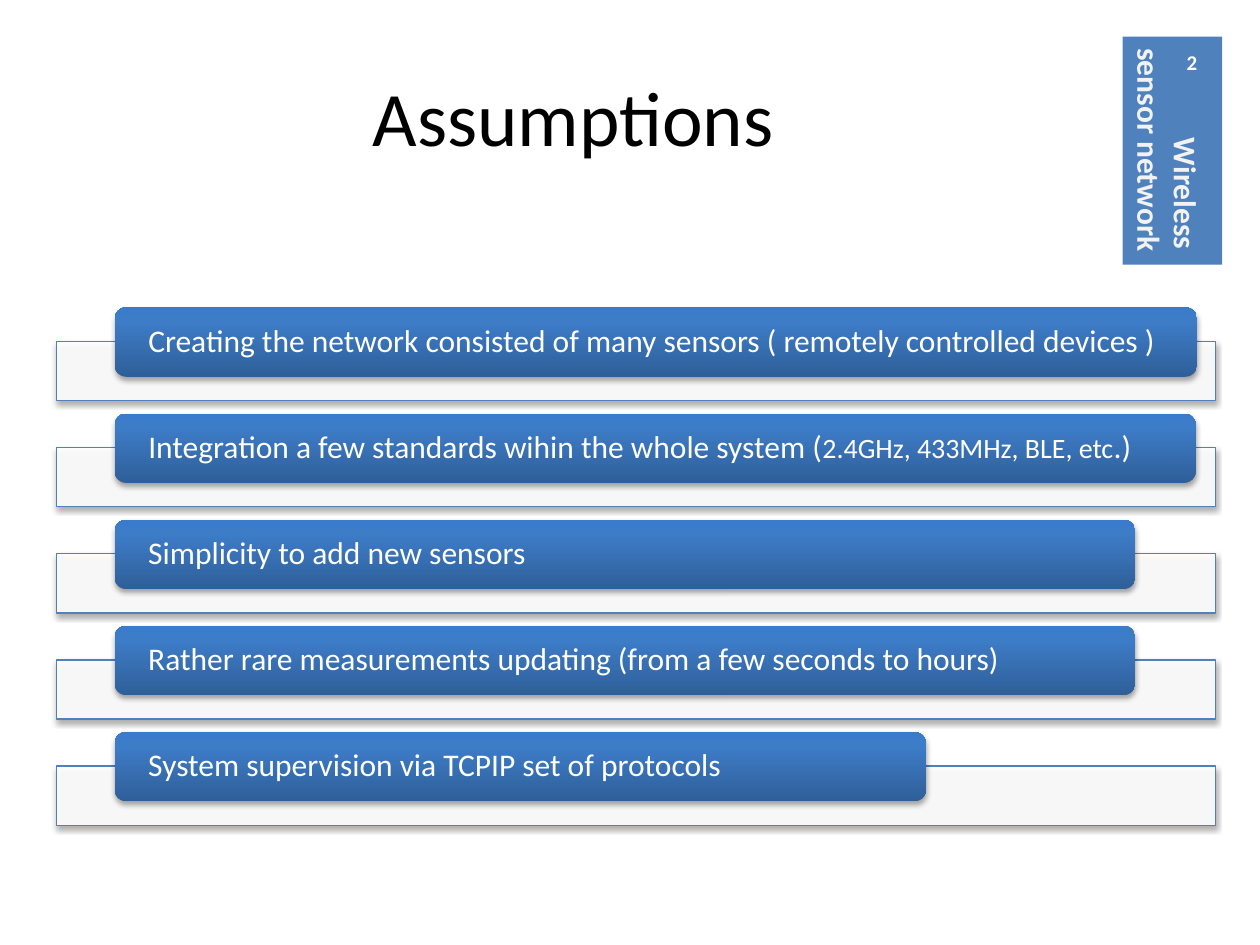
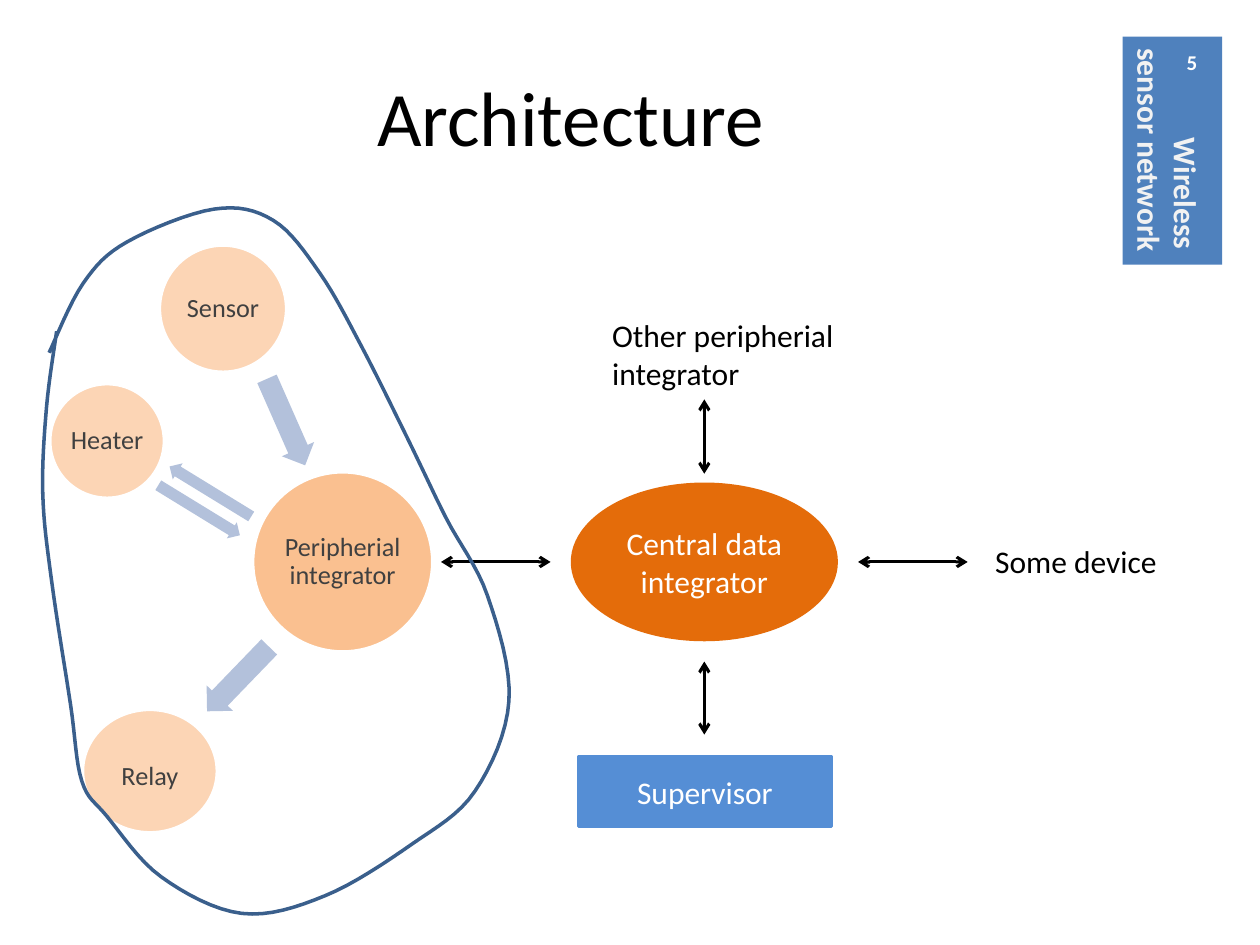
from copy import deepcopy
from lxml.etree import SubElement
from pptx import Presentation
from pptx.dml.color import RGBColor
from pptx.enum.shapes import MSO_CONNECTOR, MSO_SHAPE
from pptx.enum.text import MSO_ANCHOR, PP_ALIGN
from pptx.oxml.ns import qn
from pptx.util import Inches, Pt

FONT = "Calibri"
BLACK = RGBColor(0x00, 0x00, 0x00)
WHITE = RGBColor(0xFF, 0xFF, 0xFF)
PALE = RGBColor(0xF2, 0xF2, 0xF2)
GREY = RGBColor(0x40, 0x40, 0x40)
BLUE = RGBColor(0x4F, 0x81, 0xBD)
BOX_BLUE = RGBColor(0x55, 0x8E, 0xD5)
ARROW_BLUE = RGBColor(0xB3, 0xC1, 0xDB)
OUTLINE_BLUE = RGBColor(0x3A, 0x5F, 0x8C)
ORANGE = RGBColor(0xE4, 0x6C, 0x0A)
PEACH = RGBColor(0xFA, 0xC0, 0x90)
LIGHT_PEACH = RGBColor(0xFC, 0xD5, 0xB5)
BAR_STOPS = [(0, RGBColor(0x2F, 0x5F, 0x99)), (0.8, RGBColor(0x3D, 0x7C, 0xC7)),
             (1, RGBColor(0x3A, 0x7C, 0xCB))]
CENTRED = dict(align=PP_ALIGN.CENTER, anchor=MSO_ANCHOR.MIDDLE)

# Assumptions: bar width and its runs of (words, size)
ASSUMPTIONS = [
    (8.59, [("Creating the network consisted of many sensors ( remotely controlled devices )", 18)]),
    (8.58, [("Integration a few standards wihin the whole system (", 18),
            ("2.4GHz, 433MHz, BLE, etc", 16), (".)", 18)]),
    (8.1, [("Simplicity to add new sensors", 18)]),
    (8.1, [("Rather rare measurements updating (from a few seconds to hours)", 18)]),
    (6.44, [("System supervision via TCPIP set of protocols", 18)]),
]
FIRST_BAR, LAST_BAR = 2.44, 5.81
BAR_LEFT, BAR_HEIGHT = 0.91, 0.55
PANEL_LEFT, PANEL_WIDTH, PANEL_HEIGHT, PANEL_DROP = 0.45, 9.2, 0.47, 0.27

# Architecture: words, centre, size, fill, top inset
DEVICES = [
    ("Peripherial integrator", (2.72, 4.46), (1.43, 1.43), PEACH, 0.02),
    ("Sensor", (1.77, 2.45), (1.01, 1.01), LIGHT_PEACH, 0.02),
    ("Heater", (0.85, 3.5), (0.91, 0.91), LIGHT_PEACH, 0.02),
    ("Relay", (1.19, 6.12), (1.07, 0.98), LIGHT_PEACH, 0.11),
]
# centre, size, clockwise turn
BLOCK_ARROWS = {
    "heater to integrator": ((1.58, 4.05), (0.76, 0.15), 31.5),
    "integrator to heater": ((1.67, 3.9), (0.76, 0.15), 211.5),
    "sensor to integrator": ((2.27, 3.35), (0.75, 0.28), 66.2),
    "integrator to relay": ((1.89, 5.39), (0.71, 0.29), 134),
}
HUB, HUB_SIZE = (5.59, 4.46), (2.12, 1.26)
# direction from the hub, distance to the near and far end
LINKS = {
    "integrator": ((-1, 0), 1.22, 2.09),
    "some device": ((1, 0), 1.22, 2.09),
    "other integrator": ((0, -1), 0.7, 1.29),
    "supervisor": ((0, 1), 0.79, 1.37),
}
LABELS = [("Other peripherial integrator", (4.76, 2.46, 2.62, 0.71), True),
          ("Some device", (7.8, 4.25, 1.5, 0.4), False)]
# the hand-drawn loop passes through these points, clockwise
LOOP = {
    "top": [(0.39, 2.8), (0.66, 2.25), (1.01, 1.92), (1.7, 1.66), (2.17, 1.75)],
    "right": [(2.54, 2.17), (2.87, 2.75), (3.24, 3.49), (3.54, 4.11), (3.87, 4.73)],
    "bottom": [(4.04, 5.56), (3.77, 6.28), (3.27, 6.7), (2.58, 7.11), (1.92, 7.25), (1.28, 6.96)],
    "left": [(0.85, 6.48), (0.65, 6.2), (0.56, 5.59), (0.41, 4.61), (0.34, 3.92),
             (0.37, 3.23), (0.45, 2.63)],
}
CURVE_STEPS = 8


def text(sp, runs, size=18, color=BLACK, bold=False, align=PP_ALIGN.LEFT,
         anchor=MSO_ANCHOR.TOP, insets=(0.1, 0.05, 0.1, 0.05), wrap=True, spacing=None):
    tf = sp.text_frame
    tf.word_wrap = wrap
    tf.vertical_anchor = anchor
    tf.margin_left, tf.margin_top, tf.margin_right, tf.margin_bottom = map(Inches, insets)
    p = tf.paragraphs[0]
    p.alignment = align
    p.line_spacing = spacing
    for words, run_size in [(runs, size)] if isinstance(runs, str) else runs:
        r = p.add_run()
        r.text = words
        r.font.name, r.font.size, r.font.bold = FONT, Pt(run_size), bold
        r.font.color.rgb = color


def around(centre, size):
    (x, y), (width, height) = centre, size
    return x - width / 2, y - height / 2, width, height


def add_box(s, kind, box, fill=None, line=None, width=2, rotation=0):
    sp = s.shapes.add_shape(kind, *map(Inches, box))
    sp.shadow.inherit = False
    sp.rotation = rotation
    if fill is not None:
        sp.fill.solid()
        sp.fill.fore_color.rgb = fill
    if line is None:
        sp.line.fill.background()
    else:
        sp.line.color.rgb = line
        sp.line.width = Pt(width)
    return sp


def add_label(s, words, box, rotation=0, **fmt):
    sp = s.shapes.add_textbox(*map(Inches, box))
    sp.rotation = rotation
    text(sp, words, **fmt)


def add_shadow(sp):
    effects = sp._element.spPr.find(qn("a:effectLst"))
    shadow = SubElement(effects, qn("a:outerShdw"), blurRad=str(Pt(3.1)),
                        dist=str(Pt(1.8)), dir="5400000", rotWithShape="0")
    color = SubElement(shadow, qn("a:srgbClr"), val="000000")
    SubElement(color, qn("a:alpha"), val="35000")


def fill_bar(sp):
    sp.fill.gradient()
    sp.fill.gradient_angle = 90
    stops = sp._element.spPr.find(".//" + qn("a:gsLst"))
    stops.append(deepcopy(stops[-1]))
    for stop, (position, color) in zip(sp.fill.gradient_stops, BAR_STOPS):
        stop.position = position
        stop.color.rgb = color


def add_link(s, direction, near, far):
    ends = [hub + step * reach for reach in (near, far) for hub, step in zip(HUB, direction)]
    link = s.shapes.add_connector(MSO_CONNECTOR.STRAIGHT, *map(Inches, ends))
    link.line.color.rgb = BLACK
    link.line.width = Pt(1.75)
    for end in ("a:headEnd", "a:tailEnd"):
        SubElement(link.line._get_or_add_ln(), qn(end), type="arrow")
    SubElement(link._element.spPr, qn("a:effectLst"))


def spline(a, b, c, d, t):
    return b + t / 2 * (c - a + t * (2 * a - 5 * b + 4 * c - d + t * (3 * (b - c) + d - a)))


def smooth(points):
    padded = [points[0], *points, points[-1]]
    curve = [points[0]]
    for quad in zip(padded, padded[1:], padded[2:], padded[3:]):
        xs, ys = zip(*quad)
        for step in range(1, CURVE_STEPS + 1):
            t = step / CURVE_STEPS
            curve.append((spline(*xs, t), spline(*ys, t)))
    return curve


def add_loop(s):
    points = [point for side in LOOP.values() for point in side]
    start, *rest = [(Inches(x), Inches(y)) for x, y in smooth(points)]
    builder = s.shapes.build_freeform(*start)
    builder.add_line_segments(rest, close=False)
    loop = builder.convert_to_shape()
    loop.shadow.inherit = False
    loop.fill.background()
    loop.line.color.rgb = OUTLINE_BLUE
    loop.line.width = Pt(2)


def add_slide(prs, title, number, left):
    s = prs.slides.add_slide(prs.slide_layouts[5])
    sp = s.shapes.title
    sp.left, sp.top, sp.width, sp.height = map(Inches, (left, 0.29, 8.08, 1.25))
    text(sp, title, size=44, **CENTRED)
    add_box(s, MSO_SHAPE.RECTANGLE, (8.91, 0.29, 0.79, 1.81), BLUE)
    add_label(s, number, (8.95, 0.29, 0.65, 0.4), size=12, color=WHITE, bold=True,
              align=PP_ALIGN.RIGHT, anchor=MSO_ANCHOR.MIDDLE)
    add_label(s, "sensor network", (8.14, 1.07, 1.97, 0.4), 90, color=PALE, bold=True)
    add_label(s, "Wireless", (8.87, 1.34, 1.09, 0.4), 90, color=PALE, bold=True, wrap=False)
    return s


def build_assumptions(prs):
    s = add_slide(prs, "Assumptions", "2", 0.51)
    step = (LAST_BAR - FIRST_BAR) / (len(ASSUMPTIONS) - 1)
    for i, (width, runs) in enumerate(ASSUMPTIONS):
        top = FIRST_BAR + i * step
        panel = add_box(s, MSO_SHAPE.RECTANGLE,
                        (PANEL_LEFT, top + PANEL_DROP, PANEL_WIDTH, PANEL_HEIGHT),
                        WHITE, BLUE, 0.75)
        color = panel._element.spPr.find(qn("a:solidFill"))[0]
        SubElement(color, qn("a:alpha"), val="90000")
        bar = add_box(s, MSO_SHAPE.ROUNDED_RECTANGLE, (BAR_LEFT, top, width, BAR_HEIGHT))
        fill_bar(bar)
        for sp in (panel, bar):
            add_shadow(sp)
        text(bar, runs, color=WHITE, anchor=MSO_ANCHOR.MIDDLE,
             insets=(0.24, 0, 0.24, 0), spacing=0.9)


def build_architecture(prs):
    s = add_slide(prs, "Architecture", "5", 0.49)
    supervisor = add_box(s, MSO_SHAPE.RECTANGLE, (4.59, 6.01, 2.01, 0.55), BOX_BLUE, BOX_BLUE)
    text(supervisor, "Supervisor", color=WHITE, **CENTRED)
    hub = add_box(s, MSO_SHAPE.OVAL, around(HUB, HUB_SIZE), ORANGE)
    text(hub, "Central data integrator", color=WHITE, **CENTRED)
    for link in LINKS.values():
        add_link(s, *link)
    for words, box, wrap in LABELS:
        add_label(s, words, box, wrap=wrap)
    for words, centre, size, fill, top in DEVICES:
        device = add_box(s, MSO_SHAPE.OVAL, around(centre, size), fill, WHITE)
        text(device, words, size=15, color=GREY, insets=(0.02, top, 0.02, 0.02),
             spacing=0.9, **CENTRED)
    for centre, size, turn in BLOCK_ARROWS.values():
        arrow = add_box(s, MSO_SHAPE.RIGHT_ARROW, around(centre, size), ARROW_BLUE, rotation=turn)
        arrow.adjustments[0] = 0.6
    add_loop(s)


def main():
    prs = Presentation()
    prs.slide_width, prs.slide_height = Inches(10), Inches(7.5)
    build_assumptions(prs)
    build_architecture(prs)
    prs.save("out.pptx")


if __name__ == "__main__":
    main()
